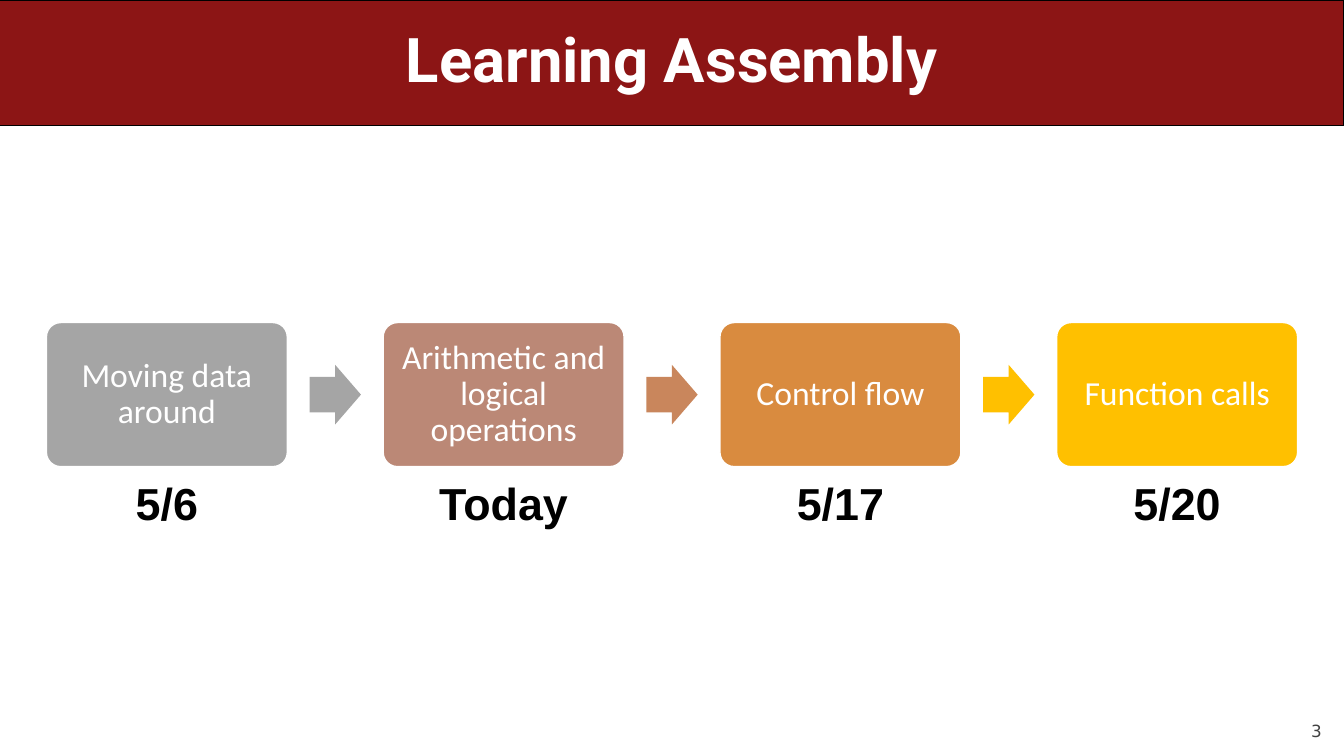
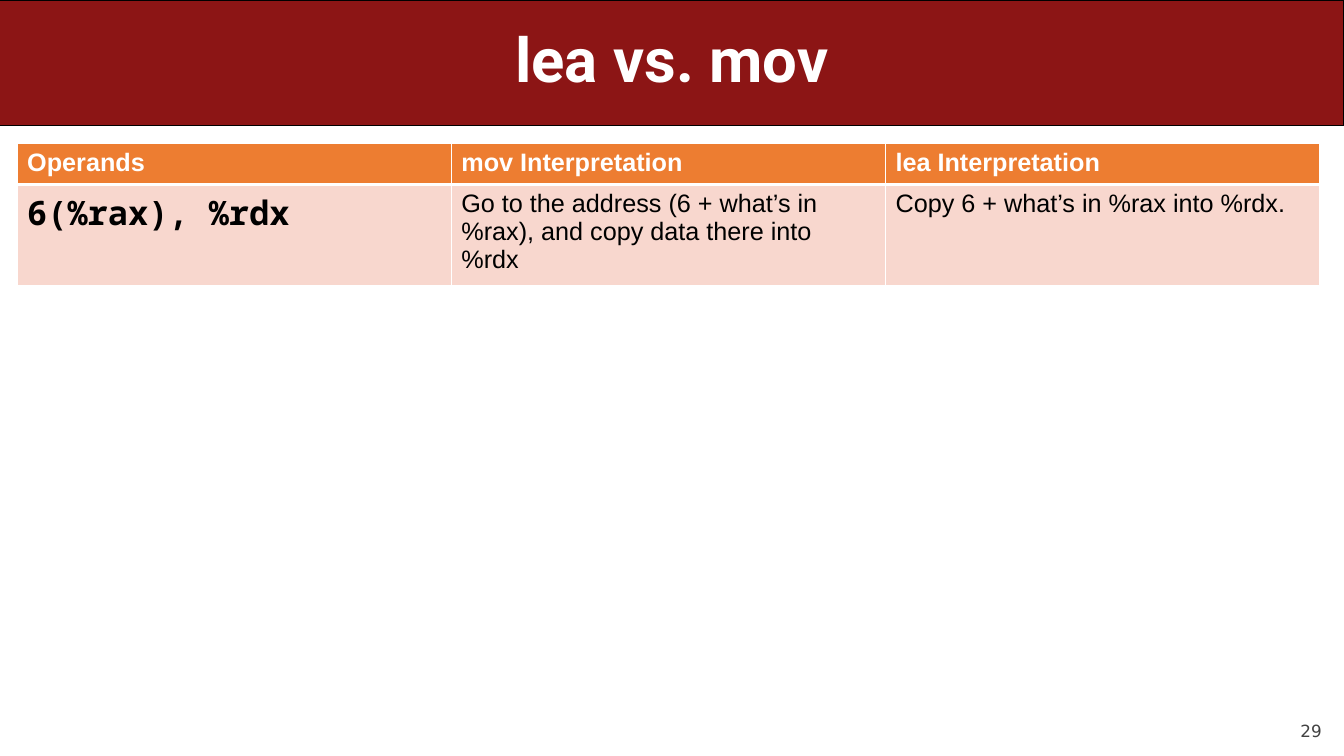
from lxml import etree
from pptx import Presentation
from pptx.dml.color import RGBColor
from pptx.enum.shapes import MSO_SHAPE
from pptx.enum.text import MSO_ANCHOR, PP_ALIGN
from pptx.oxml.ns import qn
from pptx.util import Inches, Pt

LEFT, CENTER, RIGHT = PP_ALIGN.LEFT, PP_ALIGN.CENTER, PP_ALIGN.RIGHT
TOP, MIDDLE, BOTTOM = MSO_ANCHOR.TOP, MSO_ANCHOR.MIDDLE, MSO_ANCHOR.BOTTOM
RECT, ROUND_RECT = MSO_SHAPE.RECTANGLE, MSO_SHAPE.ROUNDED_RECTANGLE
ARROW = MSO_SHAPE.RIGHT_ARROW

COLORS = {
    "band": "8C1515", "white": "FFFFFF", "black": "000000",
    "number": "424242", "header": "ED7D31", "body": "F8D7CE",
    "grey": "A5A5A5", "rose": "BB8876", "copper": "C9865C",
    "orange": "D98B3F", "gold": "FFC000",
}

W, H = 13.33, 7.5
BAND_H = H / 6

# Process row: four equal columns between equal side margins
MARGIN, BOX_W, BOX_H = 0.46, 2.39, 1.43
BOX_TOP = 3.2
ARROW_W, ARROW_H = 0.51, 0.59

STEPS = [  # text, box colour, date, colour of the arrow that follows
    ("Moving data around", "grey", "5/6", "grey"),
    ("Arithmetic and logical operations", "rose", "Today", "copper"),
    ("Control flow", "orange", "5/17", "gold"),
    ("Function calls", "gold", "5/20", None),
]
OPERAND_ROWS = [
    ["Operands", "mov Interpretation", "lea Interpretation"],
    ["6(%rax), %rdx",
     "Go to the address (6 + what’s in %rax), and copy data there into %rdx",
     "Copy 6 + what’s in %rax into %rdx."],
]


def rgb(name):
    return RGBColor.from_string(COLORS[name])


def inches(*lengths):
    return [Inches(n) for n in lengths]


def write(tf, text, font, size, color, bold=False, align=LEFT, spacing=None):
    p = tf.paragraphs[0]
    p.text = text
    p.alignment = align
    p.line_spacing = spacing
    p.font.name, p.font.size, p.font.bold = font, Pt(size), bold
    p.font.color.rgb = rgb(color)


def frame(sp, anchor, inset_x=0.1, inset_y=0.05):
    """Set wrapping, anchor and insets, and return the text frame."""
    tf = sp.text_frame
    tf.word_wrap = True
    tf.vertical_anchor = anchor
    tf.margin_left = tf.margin_right = Inches(inset_x)
    tf.margin_top = tf.margin_bottom = Inches(inset_y)
    return tf


def add_text(s, box, text, *style, anchor=TOP, inset=0.1, **options):
    sp = s.shapes.add_textbox(*inches(*box))
    write(frame(sp, anchor, inset, inset / 2), text, *style, **options)


def add_block(s, kind, box, fill, line=None, line_width=1):
    sp = s.shapes.add_shape(kind, *inches(*box))
    sp.shadow.inherit = False
    sp.fill.solid()
    sp.fill.fore_color.rgb = rgb(fill)
    if line:
        sp.line.color.rgb = rgb(line)
        sp.line.width = Pt(line_width)
    else:
        sp.line.fill.background()
    return sp


def add_slide(prs, title, number):
    """Add a blank slide with the title band and the page number."""
    s = prs.slides.add_slide(prs.slide_layouts[6])
    add_block(s, RECT, (0, 0, W, BAND_H), "band", "black", 0.75)
    add_text(s, (0.5, 0, W - 1, BAND_H), title, "Roboto", 44, "white",
             bold=True, align=CENTER, spacing=0.9, anchor=MIDDLE)
    add_text(s, (12, 6.95, 1.11, 0.4), number, "DejaVu Sans", 12, "number",
             align=RIGHT, anchor=BOTTOM, inset=0)
    return s


def add_process(s, steps):
    pitch = (W - 2 * MARGIN - BOX_W) / (len(steps) - 1)
    arrow_dx = BOX_W + (pitch - BOX_W - ARROW_W) / 2
    arrow_top = BOX_TOP + (BOX_H - ARROW_H) / 2
    for i, (text, color, date, arrow_color) in enumerate(steps):
        x = MARGIN + i * pitch
        sp = add_block(s, ROUND_RECT, (x, BOX_TOP, BOX_W, BOX_H), color, "white")
        sp.adjustments[0] = 0.1
        write(frame(sp, MIDDLE, 0.12, 0.1), text, "Calibri", 24, "white",
              align=CENTER, spacing=0.9)
        add_text(s, (x, BOX_TOP + BOX_H + 0.04, BOX_W, 0.64), date,
                 "Arial", 32, "black", bold=True, align=CENTER)
        if arrow_color:
            arrow = add_block(s, ARROW, (x + arrow_dx, arrow_top, ARROW_W, ARROW_H),
                              arrow_color)
            arrow.adjustments[0] = 0.6


def set_borders(cell, **widths):
    """Draw white borders; sides L, R, T, B are given in points."""
    tc_pr = cell._tc.get_or_add_tcPr()
    for side, width in widths.items():
        ln = etree.SubElement(tc_pr, qn(f"a:ln{side}"), w=str(Pt(width)))
        fill = etree.SubElement(ln, qn("a:solidFill"))
        etree.SubElement(fill, qn("a:srgbClr"), val=COLORS["white"])


def add_operand_table(s, rows):
    heights = [0.41, 0.93]
    left, width = 0.17, 12.92
    table = s.shapes.add_table(len(rows), len(rows[0]), *inches(
        left, BAND_H + left, width, sum(heights))).table
    table.horz_banding = False
    for col in table.columns:
        col.width = Inches(width / len(rows[0]))
    for r, texts in enumerate(rows):
        table.rows[r].height = Inches(heights[r])
        header = r == 0
        for c, text in enumerate(texts):
            cell = table.cell(r, c)
            set_borders(cell, L=1, R=1, T=1 if header else 3, B=3 if header else 1)
            cell.fill.solid()
            cell.fill.fore_color.rgb = rgb("header" if header else "body")
            code = c == 0 and not header
            font, size = ("Noto Sans Mono", 24) if code else ("Arial", 18)
            write(cell.text_frame, text, font, size,
                  "white" if header else "black", bold=header or code)


def main():
    prs = Presentation()
    prs.slide_width, prs.slide_height = inches(W, H)
    add_process(add_slide(prs, "Learning Assembly", "3"), STEPS)
    add_operand_table(add_slide(prs, "lea vs. mov", "29"), OPERAND_ROWS)
    prs.save("out.pptx")


if __name__ == "__main__":
    main()
